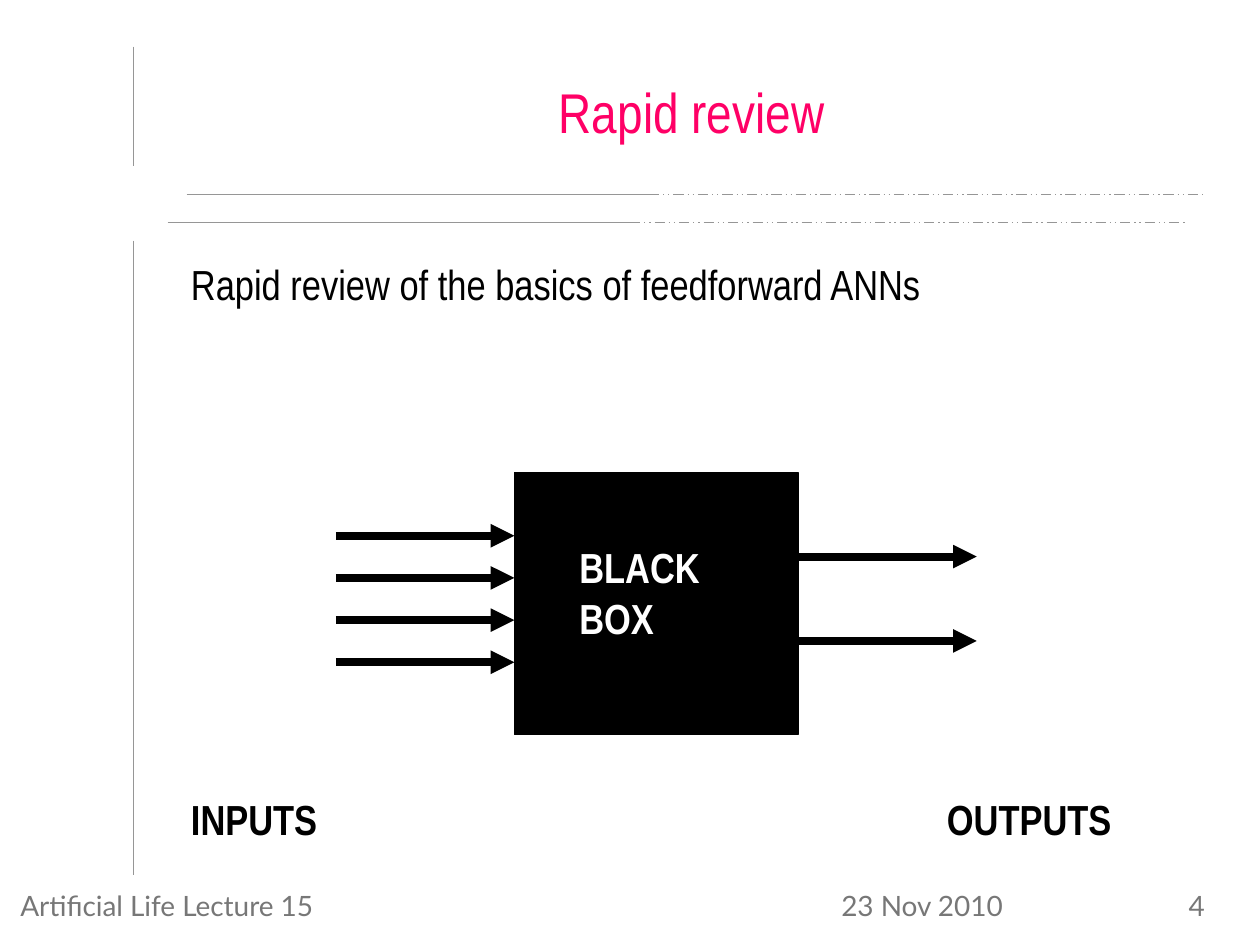
from lxml.etree import SubElement
from pptx import Presentation
from pptx.dml.color import RGBColor
from pptx.enum.dml import MSO_LINE
from pptx.enum.shapes import MSO_CONNECTOR, MSO_SHAPE
from pptx.enum.text import MSO_ANCHOR, MSO_AUTO_SIZE, PP_ALIGN
from pptx.oxml.ns import qn
from pptx.util import Cm, Pt

BLACK = RGBColor(0x00, 0x00, 0x00)
WHITE = RGBColor(0xFF, 0xFF, 0xFF)
PINK = RGBColor(0xFF, 0x00, 0x66)
RULE_GREY = RGBColor(0x96, 0x96, 0x96)
FOOTER_GREY = RGBColor(0x77, 0x77, 0x77)

# Content: text, box (left, top, width, height in cm)
TITLE = ("Rapid review", (4.04, 1.3, 19.81, 1.9))
FOOTERS = [
    ("23 Nov 2010", (16.71, 17.78, 5.28, 1.27), PP_ALIGN.LEFT),
    ("Artificial Life Lecture 15", (0, 17.78, 6.73, 1.27), PP_ALIGN.CENTER),
    ("4", (22.43, 17.78, 2.11, 1.07), PP_ALIGN.RIGHT),
]
INTRO = ("Rapid review of the basics of feedforward ANNs", (3.6, 5.08, 20.75, 1.27))
BOX_LABEL = ("BLACK BOX", (11.43, 10.8, 3.6, 2.29))
END_LABELS = ("INPUTS\tOUTPUTS", (3.6, 15.88, 20.75, 1.27))
OUTPUTS_TAB = 15.24

# Geometry in cm
SIDE_RULE_X = 2.69
SIDE_RULES = [(0.94, 3.35), (4.85, 17.63)]
TITLE_RULES = [(3.76, 3.92), (3.38, 4.48)]  # left, y
SOLID, DASHED = 9.32, 11.23
BOX = (10.37, 9.53, 5.72, 5.28)
ARROW = 3.6
INPUT_YS = [10.8 + 0.85 * i for i in range(4)]
OUTPUT_YS = [11.22, 12.92]


def add_text(s, text, box, size, color, font, bold=False, align=PP_ALIGN.LEFT, tab=None):
    tf = s.shapes.add_textbox(*map(Cm, box)).text_frame
    tf.word_wrap = True
    tf.auto_size = MSO_AUTO_SIZE.NONE
    p = tf.paragraphs[0]
    p.text = text
    p.alignment = align
    if tab is not None:
        tabs = SubElement(p._p.get_or_add_pPr(), qn("a:tabLst"))
        SubElement(tabs, qn("a:tab"), pos=str(Cm(tab)), algn="l")
    style(p, size, color, font, bold)


def style(p, size, color, font, bold=False):
    p.font.size = Pt(size)
    p.font.name = font
    p.font.bold = bold
    p.font.color.rgb = color


def add_line(s, x1, y1, x2, y2, color=RULE_GREY, width=0.75, dash=None, arrow=False):
    line = s.shapes.add_connector(MSO_CONNECTOR.STRAIGHT, Cm(x1), Cm(y1), Cm(x2), Cm(y2))
    line.line.color.rgb = color
    line.line.width = Pt(width)
    if dash is not None:
        line.line.dash_style = dash
    sp_pr = line._element.spPr
    if arrow:
        SubElement(sp_pr.get_or_add_ln(), qn("a:tailEnd"), type="triangle")
    SubElement(sp_pr, qn("a:effectLst"))


prs = Presentation()
prs.slide_width, prs.slide_height = Cm(25.4), Cm(19.05)
s = prs.slides.add_slide(prs.slide_layouts[5])

# Rules around the title
for top, bottom in SIDE_RULES:
    add_line(s, SIDE_RULE_X, top, SIDE_RULE_X, bottom)
for left, y in TITLE_RULES:
    middle = left + SOLID
    add_line(s, left, y, middle, y)
    add_line(s, middle, y, middle + DASHED, y, dash=MSO_LINE.DASH_DOT_DOT)

# Title
text, box = TITLE
title = s.shapes.title
title.left, title.top, title.width, title.height = map(Cm, box)
tf = title.text_frame
tf.text = text
tf.auto_size = MSO_AUTO_SIZE.NONE
tf.vertical_anchor = MSO_ANCHOR.MIDDLE
tf.paragraphs[0].alignment = PP_ALIGN.CENTER
style(tf.paragraphs[0], 32, PINK, "Arial Narrow")

# Footer and introduction
for text, box, align in FOOTERS:
    add_text(s, text, box, 16, FOOTER_GREY, "Lato", align=align)
add_text(s, *INTRO, 24, BLACK, "Arial Narrow")

# Black box with its label
sp = s.shapes.add_shape(MSO_SHAPE.RECTANGLE, *map(Cm, BOX))
sp.shadow.inherit = False
sp.fill.solid()
sp.fill.fore_color.rgb = BLACK
sp.line.color.rgb = BLACK
sp.line.width = Pt(0.75)
add_text(s, *BOX_LABEL, 24, WHITE, "Arial Narrow", bold=True)

# Arrows into and out of the box
box_left, box_right = BOX[0], BOX[0] + BOX[2]
for start, ys in ((box_left - ARROW, INPUT_YS), (box_right, OUTPUT_YS)):
    for y in ys:
        add_line(s, start, y, start + ARROW, y, BLACK, 4.5, arrow=True)
add_text(s, *END_LABELS, 24, BLACK, "Arial Narrow", bold=True, tab=OUTPUTS_TAB)

prs.save("out.pptx")
